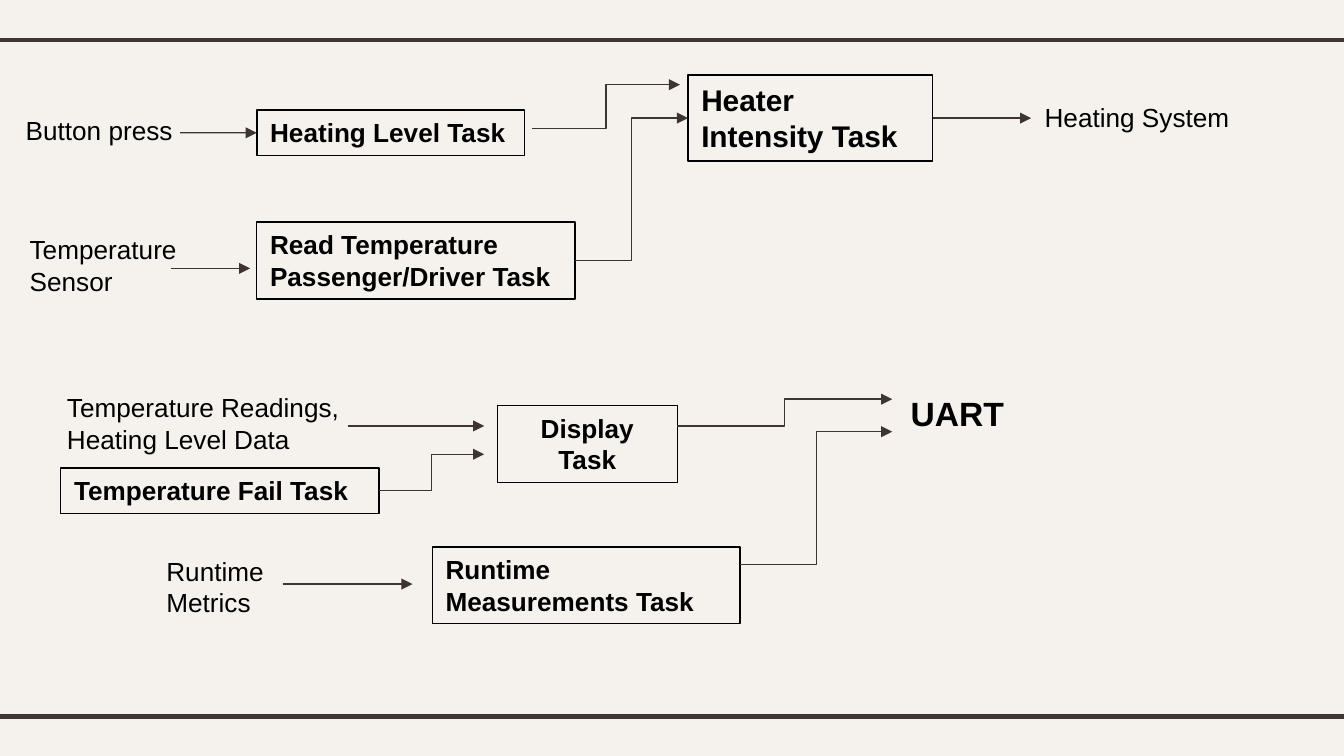
from lxml import etree
from pptx import Presentation
from pptx.dml.color import RGBColor
from pptx.enum.shapes import MSO_CONNECTOR, MSO_SHAPE
from pptx.enum.text import MSO_ANCHOR, PP_ALIGN
from pptx.oxml.ns import qn
from pptx.util import Pt

STRAIGHT, ELBOW = MSO_CONNECTOR.STRAIGHT, MSO_CONNECTOR.ELBOW
RECTANGLE = MSO_SHAPE.RECTANGLE
TOP, MIDDLE = MSO_ANCHOR.TOP, MSO_ANCHOR.MIDDLE
LEFT, CENTER = PP_ALIGN.LEFT, PP_ALIGN.CENTER
LEFT_SIDE, RIGHT_SIDE = 1, 3
PLAIN_TABLE = "{2D5ABB26-0587-4C30-8999-92F81FD0307C}"
COLORS = {"background": "F5F2EE", "rule": "3F3533", "arrow": "3E3432", "ink": "000000"}


def write_text(frame, text, size=14, bold=False, align=LEFT):
    frame.word_wrap = True
    para = frame.paragraphs[0]
    para.alignment = align
    span = para.add_run()
    span.text = text
    span.font.name = "Arial"
    span.font.size = Pt(size)
    span.font.bold = bold
    span.font.color.rgb = RGBColor.from_string(COLORS["ink"])


def add_line(kind, start, end, color, width):
    line = page.shapes.add_connector(kind, *[Pt(v) for v in (*start, *end)])
    line.line.color.rgb = RGBColor.from_string(COLORS[color])
    line.line.width = Pt(width)
    etree.SubElement(line.element.spPr, qn("a:effectLst"))
    return line


deck = Presentation()
deck.slide_width, deck.slide_height = Pt(720), Pt(405)
page = deck.slides.add_slide(deck.slide_layouts[6])
page.background.fill.solid()
page.background.fill.fore_color.rgb = RGBColor.from_string(COLORS["background"])

for y in (383.9, 21.5):
    add_line(STRAIGHT, (-6, y), (726, y), "rule", 2.25)

tasks = {}
for text, left, top, width, height, size, align in [
    ("Heating Level Task", 137.6, 59, 143.4, 24.3, 14, LEFT),
    ("Read Temperature Passenger/Driver Task", 137.6, 119, 170.6, 41.2, 14, LEFT),
    ("Heater Intensity Task", 368.6, 40.2, 131, 46.2, 16, LEFT),
    ("Display Task", 266.4, 217.2, 96.5, 41.2, 14, CENTER),
    ("Temperature Fail Task", 32.6, 250.7, 170.6, 24.3, 14, LEFT),
    ("Runtime Measurements Task", 231.6, 293, 164.9, 41.2, 14, LEFT),
]:
    box = page.shapes.add_shape(RECTANGLE, Pt(left), Pt(top), Pt(width), Pt(height))
    box.shadow.inherit = False
    box.fill.background()
    box.line.color.rgb = RGBColor.from_string(COLORS["ink"])
    box.line.width = Pt(0.75)
    box.text_frame.vertical_anchor = TOP
    write_text(box.text_frame, text, size=size, bold=True, align=align)
    tasks[text] = box

for text, left, top, width, height, size, bold in [
    ("Button press", 6.7, 57.9, 94.3, 24.3, 14, False),
    ("Temperature Sensor", 8.8, 121.7, 94.3, 41.2, 14, False),
    ("Temperature Readings, Heating Level Data", 28.8, 206.2, 182.2, 41.2, 14, False),
    ("UART", 480.8, 206.8, 131, 29, 18, True),
    ("Runtime Metrics", 82, 293.9, 87.1, 41.2, 14, False),
]:
    label = page.shapes.add_textbox(Pt(left), Pt(top), Pt(width), Pt(height))
    write_text(label.text_frame, text, size=size, bold=bold)

output = page.shapes.add_table(1, 1, Pt(552.4), Pt(51.3), Pt(116.6), Pt(24)).table
output.first_row = output.horz_banding = False
output._tbl.tblPr.find(qn("a:tableStyleId")).text = PLAIN_TABLE
cell = output.cell(0, 0)
cell.fill.background()
cell.vertical_anchor = MIDDLE
write_text(cell.text_frame, "Heating System")

for kind, start, end, source, target in [
    (STRAIGHT, (96.5, 71.1), (137.6, 71.1), None, "Heating Level Task"),
    (ELBOW, (285.1, 68.8), (364.3, 45.4), None, None),
    (STRAIGHT, (91.6, 143.8), (134, 143.8), None, None),
    (ELBOW, (308.2, 139.6), (368.6, 63.3),
     "Read Temperature Passenger/Driver Task", "Heater Intensity Task"),
    (STRAIGHT, (499.6, 63.3), (552.4, 63.3), "Heater Intensity Task", None),
    (ELBOW, (362.9, 228.2), (478, 213.9), None, None),
    (STRAIGHT, (186.5, 228.2), (259.4, 228.2), None, None),
    (ELBOW, (203.2, 262.8), (259.4, 243.4), "Temperature Fail Task", None),
    (ELBOW, (396.5, 302.4), (478, 231.3), None, None),
    (STRAIGHT, (151.4, 312.9), (221, 312.9), None, None),
]:
    arrow = add_line(kind, start, end, "arrow", 0.75)
    etree.SubElement(arrow.line._get_or_add_ln(), qn("a:tailEnd"), type="triangle")
    if source:
        arrow.begin_connect(tasks[source], RIGHT_SIDE)
    if target:
        arrow.end_connect(tasks[target], LEFT_SIDE)

deck.save("out.pptx")
